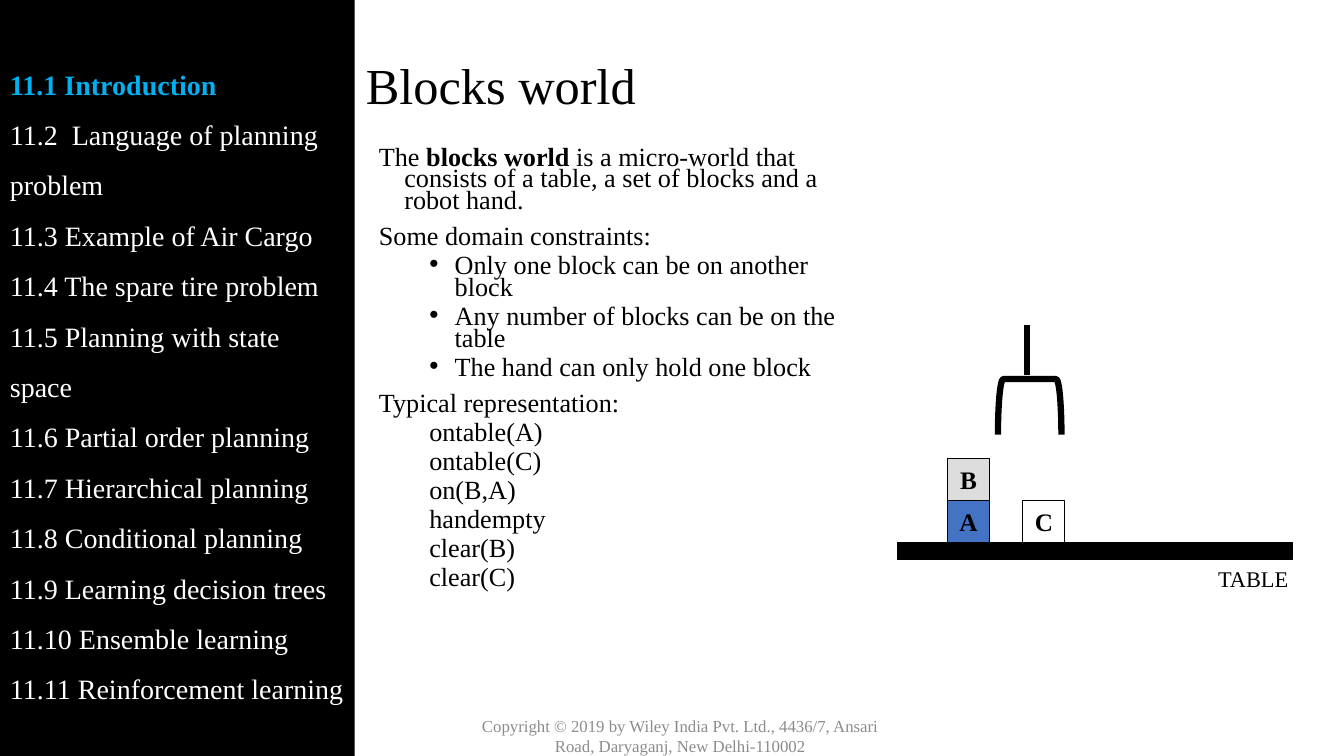
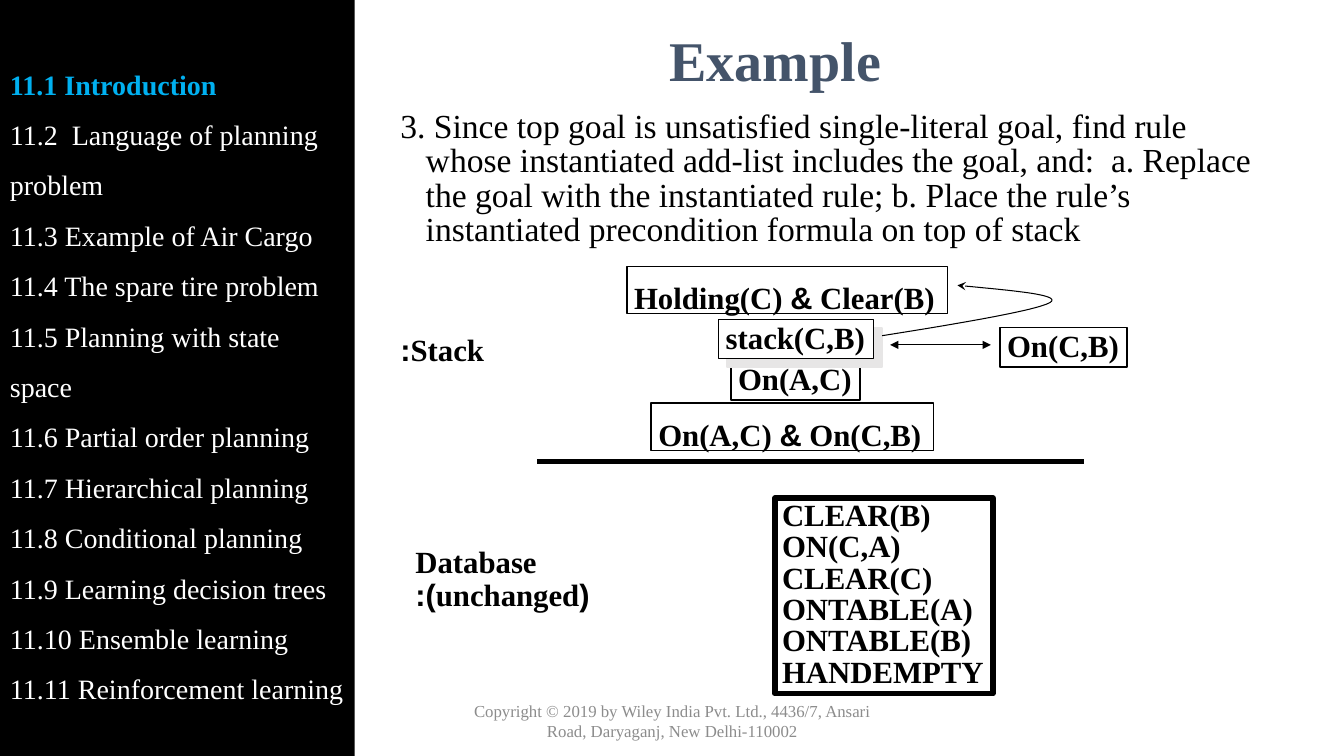
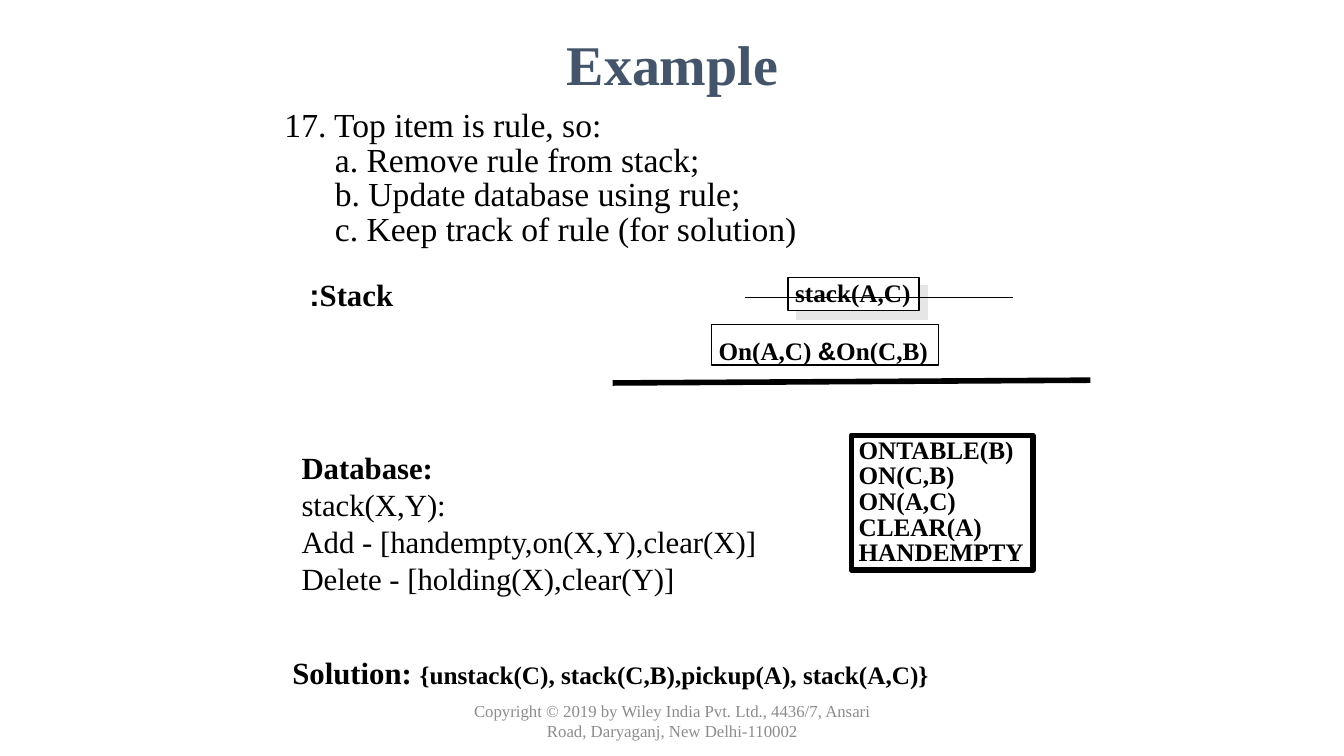
"""Build three slides on planning in the blocks world."""
from dataclasses import dataclass, replace

from lxml import etree
from pptx import Presentation
from pptx.dml import color as dml
from pptx.enum import shapes, text
from pptx.oxml import ns
from pptx.util import Cm, Pt

COLORS = {
    "black": "000000",
    "white": "FFFFFF",
    "active": "00B0F0",
    "heading": "44546A",
    "footer": "8C8C8C",
    "block_a": "4472C4",
    "block_b": "DDDDDD",
    "shadow": "E7E6E6",
}
SERIF = "Times New Roman"
SANS = "Arial"
LEFT, CENTER = text.PP_ALIGN.LEFT, text.PP_ALIGN.CENTER
TOP, MIDDLE = text.MSO_ANCHOR.TOP, text.MSO_ANCHOR.MIDDLE
WIDE_INSETS = (0.25, 0.13)
TIGHT_INSETS = (0.18, 0.08)
CHAPTER = (
    "11.1 Introduction",
    "11.2  Language of planning problem",
    "11.3 Example of Air Cargo",
    "11.4 The spare tire problem",
    "11.5 Planning with state space",
    "11.6 Partial order planning",
    "11.7 Hierarchical planning",
    "11.8 Conditional planning",
    "11.9 Learning decision trees",
    "11.10 Ensemble learning",
    "11.11 Reinforcement learning",
)
COPYRIGHT = (
    "Copyright © 2019 by Wiley India Pvt. Ltd., 4436/7, Ansari Road, "
    "Daryaganj, New Delhi-110002"
)


@dataclass(frozen=True)
class Style:
    size: float
    color: str = "black"
    bold: bool = False
    align: text.PP_ALIGN = LEFT
    spacing: float = 1.0
    before: float = 0
    margin: float = 0
    indent: float = 0
    bullet: str = ""
    rtl: bool = False


@dataclass(frozen=True)
class Run:
    text: str
    bold: bool | None = None
    size: float | None = None
    font: str | None = None


@dataclass(frozen=True)
class Para:
    style: Style
    runs: tuple[Run, ...]


@dataclass(frozen=True)
class Frame:
    anchor: text.MSO_ANCHOR = TOP
    insets: tuple[float, float] = TIGHT_INSETS
    wrap: bool = True
    grow: bool = False


@dataclass(frozen=True)
class Rect:
    left: float
    top: float
    width: float
    height: float

    def lengths(self) -> tuple[Cm, Cm, Cm, Cm]:
        return Cm(self.left), Cm(self.top), Cm(self.width), Cm(self.height)


@dataclass(frozen=True)
class Box:
    rect: Rect
    paras: list[Para]
    fill: str = ""
    line: float = 1
    shadow: bool = False
    frame: Frame = Frame(wrap=False, grow=True)


TOPIC = Style(20, "white", spacing=1.5)
FOOTER = Style(12, "footer", align=CENTER)
EXAMPLE = Style(40, "heading", bold=True, align=CENTER)
POINT = Style(18.7, spacing=0.7, before=10, margin=0.64, indent=-0.64)
FACT = replace(POINT, before=5, margin=1.91)
CONSTRAINT = replace(FACT, bullet="•")
STEP = Style(24, spacing=0.85, margin=0.64, indent=-0.64)
LABEL = Style(22, bold=True, spacing=0.88, rtl=True)
GOAL = replace(LABEL, spacing=0.9)
CONJUNCTION = replace(LABEL, spacing=1.25)
DATABASE = replace(LABEL, spacing=0.85)
BLOCK = Style(18, bold=True, align=CENTER)
CENTERED = Frame(MIDDLE, WIDE_INSETS)
GROWING = Frame(grow=True)
FITTED = Frame(wrap=False, grow=True)


def lines(style: Style, *texts: str) -> list[Para]:
    return [Para(style, (Run(line),)) for line in texts]


def conjunction(style: Style, first: str, second: str) -> list[Para]:
    return [Para(style, (Run(first), Run("&", font=SANS), Run(second)))]


def rgb(name: str) -> dml.RGBColor:
    return dml.RGBColor.from_string(COLORS[name])


def add_child(parent, tag: str, **attributes: str):
    return etree.SubElement(parent, ns.qn(tag), attributes)


def format_paragraph(paragraph, style: Style, first: bool) -> None:
    properties = paragraph._p.get_or_add_pPr()
    paragraph.alignment = style.align
    paragraph.line_spacing = style.spacing
    paragraph.space_before = Pt(0 if first else style.before)
    properties.set("marL", str(Cm(style.margin)))
    properties.set("indent", str(Cm(style.indent)))
    if style.rtl:
        properties.set("rtl", "1")
    if style.bullet:
        add_child(properties, "a:buFont", typeface=SANS)
        add_child(properties, "a:buChar", char=style.bullet)
    else:
        add_child(properties, "a:buNone")
    font = paragraph.font
    font.name = SERIF
    font.size = Pt(style.size)
    font.bold = style.bold
    font.color.rgb = rgb(style.color)
    if style.rtl:
        add_child(properties.find(ns.qn("a:defRPr")), "a:cs", typeface=SANS)


def write(text_frame, paras: list[Para], frame: Frame) -> None:
    text_frame.word_wrap = frame.wrap
    sizing = text.MSO_AUTO_SIZE
    text_frame.auto_size = sizing.SHAPE_TO_FIT_TEXT if frame.grow else sizing.NONE
    text_frame.vertical_anchor = frame.anchor
    side, edge = frame.insets
    text_frame.margin_left = text_frame.margin_right = Cm(side)
    text_frame.margin_top = text_frame.margin_bottom = Cm(edge)
    for index, para in enumerate(paras):
        paragraph = text_frame.add_paragraph() if index else text_frame.paragraphs[0]
        format_paragraph(paragraph, para.style, index == 0)
        for part in para.runs:
            run = paragraph.add_run()
            run.text = part.text
            if part.bold is not None:
                run.font.bold = part.bold
            if part.size is not None:
                run.font.size = Pt(part.size)
            if part.font is not None:
                run.font.name = part.font


def add_text(slide, rect: Rect, paras: list[Para], frame: Frame) -> None:
    write(slide.shapes.add_textbox(*rect.lengths()).text_frame, paras, frame)


def set_outline(shape, width: float) -> None:
    shape.line.color.rgb = rgb("black")
    shape.line.width = Pt(width)


def add_box(slide, box: Box) -> None:
    shape = slide.shapes.add_shape(shapes.MSO_SHAPE.RECTANGLE, *box.rect.lengths())
    if box.fill:
        shape.fill.solid()
        shape.fill.fore_color.rgb = rgb(box.fill)
    else:
        shape.fill.background()
    if box.line:
        set_outline(shape, box.line)
    else:
        shape.line.fill.background()
    shape.shadow.inherit = False
    if box.shadow:
        effects = shape._element.spPr.find(ns.qn("a:effectLst"))
        shadow = add_child(effects, "a:outerShdw", dist=str(Pt(8.5)),
                           dir="2700000", algn="ctr", rotWithShape="0")
        add_child(shadow, "a:srgbClr", val=COLORS["shadow"])
    if box.paras:
        write(shape.text_frame, box.paras, box.frame)


def add_line(slide, start: tuple[float, float], end: tuple[float, float],
             width: float, arrows: bool = False) -> None:
    line = slide.shapes.add_connector(
        shapes.MSO_CONNECTOR.STRAIGHT, *map(Cm, start), *map(Cm, end))
    set_outline(line, width)
    add_child(line._element.spPr, "a:effectLst")
    if arrows:
        for tag in ("a:headEnd", "a:tailEnd"):
            add_child(line.line._get_or_add_ln(), tag, type="triangle")


def bezier(*controls: tuple[float, float], steps: int = 24) -> list[tuple[Cm, Cm]]:
    points = []
    for step in range(1, steps + 1):
        t = step / steps
        weights = ((1 - t) ** 3, 3 * t * (1 - t) ** 2, 3 * t * t * (1 - t), t ** 3)
        x, y = (sum(w * c for w, c in zip(weights, axis)) for axis in zip(*controls))
        points.append((Cm(x), Cm(y)))
    return points


def add_replacement_arrow(slide) -> None:
    start, bend, tip = (22.23, 8.46), (26.47, 7.62), (24.13, 7.19)
    builder = slide.shapes.build_freeform(*map(Cm, start))
    builder.add_line_segments(
        bezier(start, (24.19, 8.15), (26.14, 7.82), bend)
        + bezier(bend, (26.77, 7.42), (25.45, 7.32), tip),
        close=False,
    )
    arrow = builder.convert_to_shape()
    arrow.fill.background()
    set_outline(arrow, 0.75)
    arrow.shadow.inherit = False
    add_child(arrow.line._get_or_add_ln(), "a:tailEnd", type="stealth")


def add_slide(deck, title: str, rect: Rect, style: Style):
    slide = deck.slides.add_slide(deck.slide_layouts[5])
    heading = slide.shapes.title
    heading.left, heading.top, heading.width, heading.height = rect.lengths()
    write(heading.text_frame, lines(style, title), CENTERED)
    return slide


def add_sidebar(slide) -> None:
    active = replace(TOPIC, color="active", bold=True)
    topics = lines(active, CHAPTER[0]) + lines(TOPIC, *CHAPTER[1:])
    add_box(slide, Box(Rect(0, 0, 8.94, 19.05), topics, "black", 0, frame=CENTERED))


def add_footer(slide, left: float, top: float) -> None:
    add_text(slide, Rect(left, top, 11.43, 1.02), lines(FOOTER, COPYRIGHT), CENTERED)


def add_robot_hand(slide) -> None:
    hand = slide.shapes.add_shape(
        shapes.MSO_SHAPE.RIGHT_BRACKET, *Rect(25.25, 9.45, 1.4, 1.6).lengths())
    hand.adjustments[0] = 0.095
    hand.rotation = 270
    hand.fill.background()
    set_outline(hand, 4.5)
    hand.shadow.inherit = False
    add_line(slide, (25.88, 8.18), (25.88, 9.45), 4.5)


def build_blocks_world(deck) -> None:
    slide = add_slide(deck, "Blocks world", Rect(8.97, 0.64, 18.75, 3.18),
                      Style(36, spacing=0.9))
    definition = Para(POINT, (
        Run("The "),
        Run("blocks world ", bold=True),
        Run("is a micro-world that consists of a table, a set of blocks "
            "and a robot hand."),
    ))
    body = [
        definition,
        *lines(POINT, "Some domain constraints:"),
        *lines(CONSTRAINT, "Only one block can be on another block",
               "Any number of blocks can be on the table",
               "The hand can only hold one block"),
        *lines(POINT, "Typical representation:"),
        *lines(FACT, "ontable(A)", "ontable(C)", "on(B,A)", "handempty",
               "clear(B)", "clear(C)"),
    ]
    add_text(slide, Rect(9.3, 3.61, 12.04, 12.57), body, Frame(insets=WIDE_INSETS))

    side, table_top = 1.06, 13.67
    add_box(slide, Box(Rect(22.61, table_top, 9.96, 0.43), [], "black", 0.75))
    for name, left, level, fill in (("A", 23.88, 1, "block_a"),
                                    ("B", 23.88, 2, "block_b"),
                                    ("C", 25.78, 1, "")):
        rect = Rect(left, table_top - level * side, side, side)
        add_box(slide, Box(rect, lines(BLOCK, name), fill, 0.75,
                           frame=Frame(MIDDLE, WIDE_INSETS, wrap=False)))
    add_robot_hand(slide)
    add_text(slide, Rect(30.45, 14.1, 2.29, 0.94), lines(Style(16), "TABLE"),
             Frame(insets=WIDE_INSETS, wrap=False, grow=True))
    add_sidebar(slide)
    add_footer(slide, 11.43, 18.03)


def build_goal_replacement(deck) -> None:
    slide = add_slide(deck, "Example", Rect(10.39, 0.13, 18.29, 2.72), EXAMPLE)
    add_text(slide, Rect(9.91, 8.38, 2.49, 0.97), lines(LABEL, "Stack:"), FITTED)
    add_line(slide, (13.54, 11.63), (27.31, 11.63), 4)
    facts = lines(DATABASE, "CLEAR(B)", "ON(C,A)", "CLEAR(C)", "ONTABLE(A)",
                  "ONTABLE(B)", "HANDEMPTY")
    for box in (
        Box(Rect(16.41, 10.16, 7.11, 1.19),
            conjunction(CONJUNCTION, "On(A,C) ", " On(C,B)")),
        Box(Rect(18.42, 9.09, 3.25, 0.99), lines(GOAL, "On(A,C)")),
        Box(Rect(18.11, 8.05, 3.91, 0.99), lines(GOAL, "stack(C,B)"),
            "white", shadow=True),
        Box(Rect(15.8, 6.71, 8.08, 1.19),
            conjunction(CONJUNCTION, "Holding(C) ", " Clear(B)")),
        Box(Rect(19.53, 12.55, 5.49, 4.93), facts, line=4),
        Box(Rect(25.2, 8.26, 3.2, 0.99), lines(GOAL, "On(C,B)")),
    ):
        add_box(slide, box)
    add_text(slide, Rect(10.29, 13.72, 4.75, 1.78),
             lines(LABEL, "Database", "(unchanged):"), FITTED)
    add_text(slide, Rect(9.91, 2.72, 22.17, 3.63), lines(
        STEP,
        "3. Since top goal is unsatisfied single-literal goal, find rule whose "
        "instantiated add-list includes the goal, and:  a. Replace the goal with "
        "the instantiated rule; b. Place the rule’s instantiated precondition "
        "formula on top of stack"), GROWING)
    add_line(slide, (24.97, 8.69), (22.43, 8.69), 0.75, arrows=True)
    add_replacement_arrow(slide)
    add_sidebar(slide)
    add_footer(slide, 11.23, 17.65)


def build_solution(deck) -> None:
    slide = add_slide(deck, "Example", Rect(6.15, 0, 21.59, 3.18), EXAMPLE)
    facts = lines(replace(DATABASE, size=18), "ONTABLE(B)", "ON(C,B)", "ON(A,C)",
                  "CLEAR(A)", "HANDEMPTY")
    step = replace(STEP, spacing=0.86)
    actions = lines(replace(step, margin=1.91), "a. Remove rule from stack;",
                    "b. Update database using rule;",
                    "c. Keep track of rule (for solution)")
    plan = Para(LABEL, (
        Run("Solution: "),
        Run("{unstack(C), stack(C,B),pickup(A), stack(A,C)}", size=18),
    ))
    rule = Style(22)
    rule_lines = lines(replace(rule, bold=True), "Database:") + lines(
        rule, "stack(X,Y):", "Add - [handempty,on(X,Y),clear(X)]",
        "Delete - [holding(X),clear(Y)]")

    add_box(slide, Box(Rect(21.46, 10.97, 4.57, 3.4), facts, line=4))
    add_text(slide, Rect(6.99, 2.69, 18.87, 3.68),
             lines(step, "17. Top item is rule, so:") + actions, GROWING)
    add_text(slide, Rect(7.19, 16.51, 16.56, 0.97), [plan], FITTED)
    add_box(slide, Box(Rect(17.93, 8.18, 5.72, 1.02), conjunction(
        replace(CONJUNCTION, size=18), "On(A,C) ", "On(C,B)")))
    add_line(slide, (15.44, 9.65), (27.48, 9.58), 4)
    add_box(slide, Box(Rect(19.86, 6.99, 3.3, 0.84),
                       lines(replace(GOAL, size=18), "stack(A,C)"),
                       "white", shadow=True))
    add_text(slide, Rect(7.62, 6.99, 2.49, 0.97), lines(LABEL, "Stack:"), FITTED)
    add_line(slide, (18.77, 7.49), (25.53, 7.49), 0.75)
    add_text(slide, Rect(7.42, 11.23, 13.77, 3.91), rule_lines, GROWING)
    add_footer(slide, 11.23, 17.65)


def main() -> None:
    deck = Presentation()
    deck.slide_width, deck.slide_height = Cm(33.87), Cm(19.05)
    build_blocks_world(deck)
    build_goal_replacement(deck)
    build_solution(deck)
    deck.save("out.pptx")


if __name__ == "__main__":
    main()
